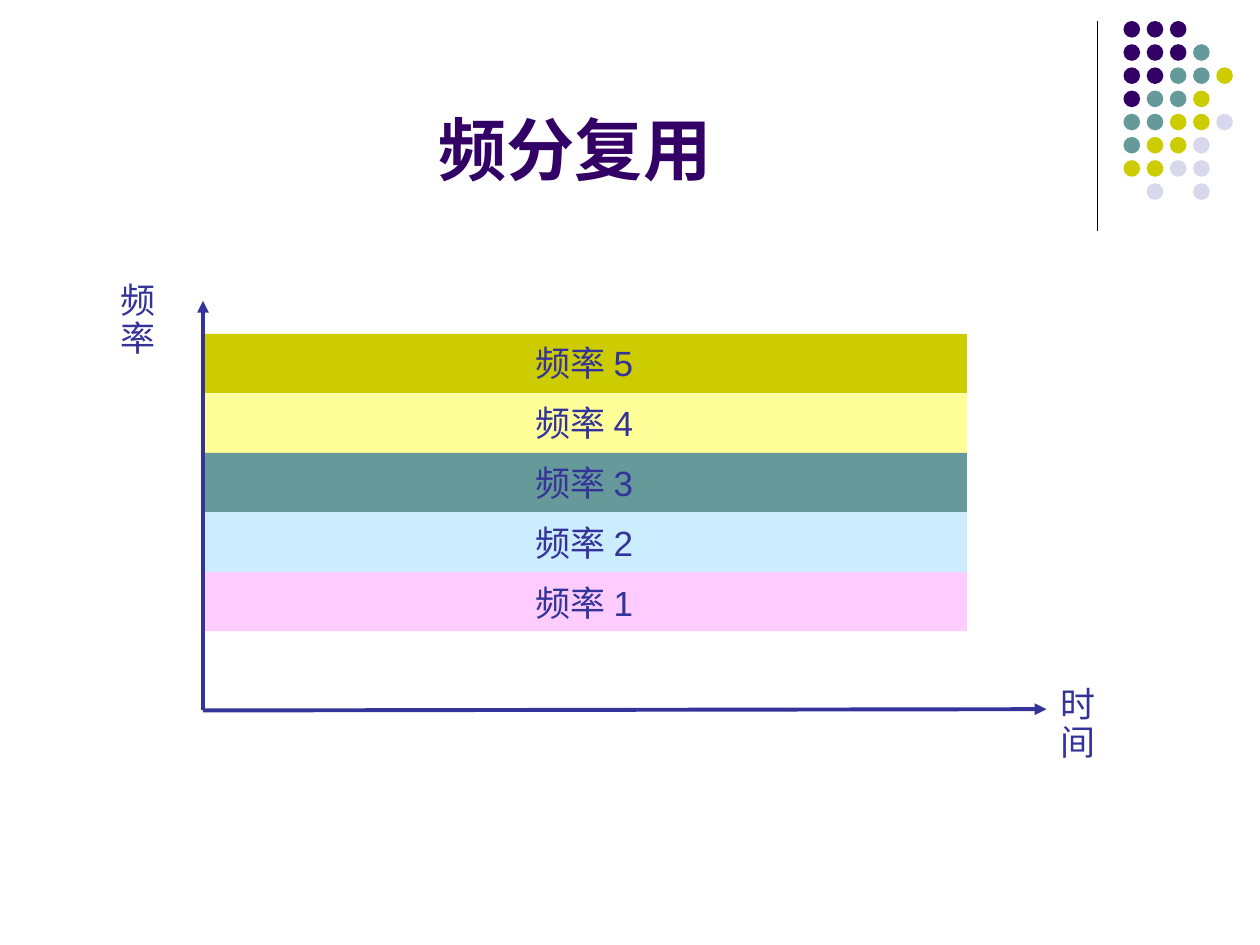
import pptx
import pptx.util
import pptx.dml.color
import pptx.enum.shapes
import pptx.enum.text
import pptx.oxml
import pptx.oxml.ns

Pt = pptx.util.Pt
SHAPES = pptx.enum.shapes.MSO_SHAPE
ALIGN = pptx.enum.text.PP_ALIGN
ANCHOR = pptx.enum.text.MSO_ANCHOR

COLORS = {
    "purple": "330066", "teal": "669999", "olive": "CCCC00",
    "lavender": "D8D8EC", "ink": "333399", "black": "000000",
    "yellow": "FFFF99", "sky": "CCECFF", "pink": "FFCCFF",
}
# One letter per dot; a blank leaves its cell empty
DOT_ROWS = ["PPP", "PPPT", "PPTTO", "PTTO", "TTOOL", "TOOL", "OOLL", " L L"]
DOT_COLORS = {"P": "purple", "T": "teal", "O": "olive", "L": "lavender"}
BANDS = [("频率 5", "olive"), ("频率 4", "yellow"), ("频率 3", "teal"),
         ("频率 2", "sky"), ("频率 1", "pink")]


def rgb(name):
    return pptx.dml.color.RGBColor.from_string(COLORS[name])


def add_block(page, kind, box, color):
    block = page.shapes.add_shape(kind, *map(Pt, box))
    block.shadow.inherit = False
    block.fill.solid()
    block.fill.fore_color.rgb = rgb(color)
    block.line.fill.background()


def add_line(page, start, end, color, width, arrow=False):
    line = page.shapes.add_connector(
        pptx.enum.shapes.MSO_CONNECTOR.STRAIGHT, *map(Pt, start + end))
    line.line.color.rgb = rgb(color)
    line.line.width = Pt(width)
    if arrow:
        outline = line.line._get_or_add_ln()
        head = pptx.oxml.parse_xml(
            '<a:tailEnd %s type="triangle"/>' % pptx.oxml.ns.nsdecls("a"))
        outline.append(head)
    effects = pptx.oxml.parse_xml(
        "<a:effectLst %s/>" % pptx.oxml.ns.nsdecls("a"))
    line._element.spPr.append(effects)


def add_span(para, text, font, size, color, bold=False):
    span = para.add_run()
    span.text = text
    span.font.name = font
    span.font.size = Pt(size)
    span.font.bold = bold
    span.font.color.rgb = rgb(color)


def add_label(page, box, text, font):
    label = page.shapes.add_textbox(*map(Pt, box))
    label.text_frame.word_wrap = False
    label.text_frame.auto_size = pptx.enum.text.MSO_AUTO_SIZE.SHAPE_TO_FIT_TEXT
    para = label.text_frame.paragraphs[0]
    para.line_spacing = 0.9
    add_span(para, text, font, 20, "ink")


def add_decoration(page, box):
    """Vertical rule on the left, dot grid on the right."""
    left, top, width, height = box
    add_line(page, (left, top), (left, top + height), "black", 0.75)
    size, pitch = 9.5, 13.25
    grid_left = left + 15
    for row, letters in enumerate(DOT_ROWS):
        for column, letter in enumerate(letters):
            if letter in DOT_COLORS:
                dot = (grid_left + column * pitch, top + row * pitch, size, size)
                add_block(page, SHAPES.OVAL, dot, DOT_COLORS[letter])


def add_title(page, box):
    title = page.shapes.title
    title.left, title.top, title.width, title.height = map(Pt, box)
    frame = title.text_frame
    frame.word_wrap = True
    frame.auto_size = pptx.enum.text.MSO_AUTO_SIZE.NONE
    frame.vertical_anchor = ANCHOR.BOTTOM
    para = frame.paragraphs[0]
    para.alignment = ALIGN.CENTER
    add_span(para, "频分复用 ", "Arial", 39, "purple", bold=True)


def add_diagram(page, box):
    """Frequency bands over time; the box spans both axes."""
    left, top, width, height = box
    bottom = top + height

    # Time axis and axis names
    add_line(page, (left, bottom), (left + width, bottom - 0.75),
             "ink", 2.25, arrow=True)
    add_label(page, (left - 54, top - 13.5, 54, 29), "频率", "Times New Roman")
    add_label(page, (left + width + 0.75, bottom - 17, 54, 29),
              "时间", "Times New Roman")

    # Bands, then their labels
    band_width, band_height, first = 436.5, 34, top + 18.75
    for index, (text, color) in enumerate(BANDS):
        band_top = first + index * band_height
        add_block(page, SHAPES.RECTANGLE,
                  (left, band_top, band_width, band_height), color)
    for index, (text, color) in enumerate(BANDS):
        label_top = first + 3.75 + index * 34.3
        add_label(page, (left + 183, label_top, 80, 29), text, "Arial")

    # Frequency axis, in front of the bands
    add_line(page, (left, bottom), (left, top), "ink", 2.25, arrow=True)


def main():
    deck = pptx.Presentation()
    deck.slide_width, deck.slide_height = Pt(720), Pt(540)
    page = deck.slides.add_slide(deck.slide_layouts.get_by_name("Title Only"))
    add_decoration(page, (627, 12, 77, 120))
    add_title(page, (36, 9.5, 594, 102))
    add_diagram(page, (116, 172, 482, 234))
    deck.save("out.pptx")


if __name__ == "__main__":
    main()
